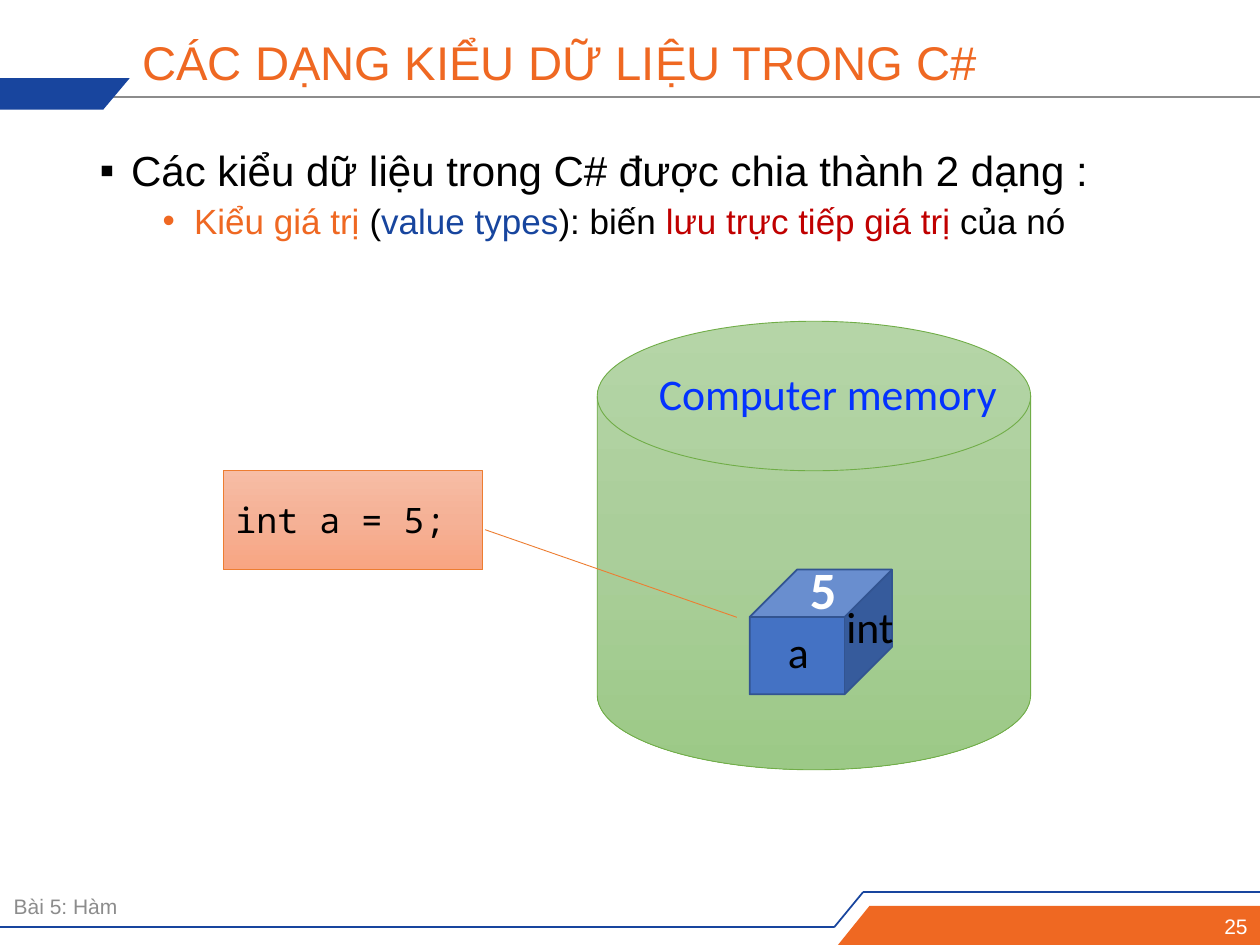
from copy import deepcopy
from dataclasses import dataclass

from lxml.etree import SubElement
from pptx import Presentation
from pptx.dml.color import RGBColor
from pptx.enum.shapes import MSO_CONNECTOR, MSO_SHAPE
from pptx.enum.text import MSO_ANCHOR, MSO_AUTO_SIZE, PP_ALIGN
from pptx.oxml.ns import qn
from pptx.util import Inches, Pt


@dataclass(frozen=True)
class Theme:
    orange: str = "EF6822"
    navy: str = "18459E"
    term: str = "17459E"
    red: str = "C00000"
    black: str = "000000"
    white: str = "FFFFFF"
    grey: str = "8C8C8C"
    label: str = "0432FF"
    cube: str = "4472C4"
    cube_edge: str = "325491"
    memory: tuple = ("B5D5A7", "AACE9A", "9CC987")
    memory_edge: str = "70AD47"
    code: tuple = ("F7BDA5", "F5B196", "F8A582")
    code_edge: str = "ED7D31"
    sans: str = "Arial"
    body: str = "Calibri"
    mono: str = "Noto Sans Mono"
    title_size: int = 27
    list_size: int = 24
    sub_size: int = 20
    label_size: int = 25
    value_size: int = 30
    footer_size: int = 12


class SlideBuilder:
    COLUMNS, ROWS = 100, 75

    def __init__(self, prs, theme):
        self.t = theme
        self.cell_w = prs.slide_width / self.COLUMNS
        self.cell_h = prs.slide_height / self.ROWS
        self.s = prs.slides.add_slide(prs.slide_layouts[1])
        self.shapes = self.s.shapes

    def grid(self, *values):
        cells = (self.cell_w, self.cell_h)
        return [round(v * cells[i % 2]) for i, v in enumerate(values)]

    def start_group(self):
        self.shapes = self.s.shapes.add_group_shape().shapes

    def end_group(self):
        self.shapes = self.s.shapes

    def place(self, sp, box):
        sp.left, sp.top, sp.width, sp.height = self.grid(*box)

    def run(self, p, text, size, color, font, bold=False):
        r = p.add_run()
        r.text = text
        r.font.size = Pt(size)
        r.font.name = font
        r.font.bold = bold
        r.font.color.rgb = RGBColor.from_string(color)

    def title(self, text, box):
        sp = self.s.shapes.title
        self.place(sp, box)
        tf = sp.text_frame
        tf.auto_size = MSO_AUTO_SIZE.NONE
        tf.vertical_anchor = MSO_ANCHOR.MIDDLE
        p = tf.paragraphs[0]
        p.alignment = PP_ALIGN.LEFT
        p.line_spacing = 0.9
        self.run(p, text, self.t.title_size, self.t.orange, self.t.sans)

    def bullets(self, items, box):
        sp = self.s.placeholders[1]
        self.place(sp, box)
        tf = sp.text_frame
        tf.auto_size = MSO_AUTO_SIZE.NONE
        for i, (level, mark, size, runs) in enumerate(items):
            p = tf.add_paragraph() if i else tf.paragraphs[0]
            p.level = level
            p.line_spacing = 0.9
            p.space_before = Pt(5 if i else 0)
            pr = p._p.get_or_add_pPr()
            pr.set("marL", str(Inches(0.25 + 0.5 * level)))
            pr.set("indent", str(Inches(-0.25)))
            SubElement(pr, qn("a:buFont"), typeface=self.t.sans)
            SubElement(pr, qn("a:buChar"), char=mark)
            for text, color in runs:
                self.run(p, text, size, color, self.t.sans)

    def text(self, text, box, size, color, font, align=PP_ALIGN.LEFT,
             anchor=MSO_ANCHOR.TOP, bold=False, wrap=True):
        tf = self.shapes.add_textbox(*self.grid(*box)).text_frame
        tf.word_wrap = wrap
        tf.vertical_anchor = anchor
        p = tf.paragraphs[0]
        p.alignment = align
        self.run(p, text, size, color, font, bold)

    def line(self, start, end, color):
        c = self.shapes.add_connector(
            MSO_CONNECTOR.STRAIGHT, *self.grid(*start, *end))
        c.line.width = Pt(1)
        c.line.color.rgb = RGBColor.from_string(color)
        SubElement(c._element.spPr, qn("a:effectLst"))

    def polygon(self, points, color):
        corners = [self.grid(*pt) for pt in points]
        fb = self.shapes.build_freeform(*corners[0])
        fb.add_line_segments(corners[1:], close=True)
        sp = fb.convert_to_shape()
        sp.shadow.inherit = False
        sp.fill.solid()
        sp.fill.fore_color.rgb = RGBColor.from_string(color)
        sp.line.fill.background()

    def shape(self, kind, box, fill, edge, width, adjust=()):
        sp = self.shapes.add_shape(kind, *self.grid(*box))
        sp.shadow.inherit = False
        for i, value in enumerate(adjust):
            sp.adjustments[i] = value
        if isinstance(fill, tuple):
            self.gradient(sp, fill)
        else:
            sp.fill.solid()
            sp.fill.fore_color.rgb = RGBColor.from_string(fill)
        sp.line.color.rgb = RGBColor.from_string(edge)
        sp.line.width = Pt(width)
        return sp

    def gradient(self, sp, colors):
        sp.fill.gradient()
        sp.fill.gradient_angle = 270
        stops = sp._element.spPr.find(".//" + qn("a:gsLst"))
        stops.insert(1, deepcopy(stops[0]))
        for i, (stop, color) in enumerate(zip(sp.fill.gradient_stops, colors)):
            stop.position = i / 2
            stop.color.rgb = RGBColor.from_string(color)

    def code_callout(self, text, box, adjust):
        sp = self.shape(MSO_SHAPE.LINE_CALLOUT_1, box, self.t.code,
                        self.t.code_edge, 0.5, adjust)
        tf = sp.text_frame
        tf.word_wrap = True
        tf.vertical_anchor = MSO_ANCHOR.MIDDLE
        p = tf.paragraphs[0]
        p.alignment = PP_ALIGN.LEFT
        self.run(p, text, self.t.sub_size, self.t.black, self.t.mono)


def main():
    prs = Presentation()
    prs.slide_width, prs.slide_height = Inches(10), Inches(7.5)
    t = Theme()
    b = SlideBuilder(prs, t)

    b.line((7.2, 7.7), (100, 7.7), t.grey)
    b.polygon([(0, 6.2), (10.3, 6.2), (8.2, 8.7), (0, 8.7)], t.navy)
    rule = [(0, 73.6), (66.2, 73.6), (68.5, 70.8), (100, 70.8)]
    for start, end in zip(rule, rule[1:]):
        b.line(start, end, t.navy)
    b.polygon([(69, 71.9), (100, 71.9), (100, 75), (66.5, 75)], t.orange)

    b.title("CÁC DẠNG KIỂU DỮ LIỆU TRONG C#", (10.3, 2.5, 82.8, 5.3))
    b.bullets([
        (0, "▪", t.list_size, [
            ("Các kiểu dữ liệu trong C# được chia thành 2 dạng :", t.black)]),
        (1, "•", t.sub_size, [
            ("Kiểu giá trị ", t.orange), ("(", t.black),
            ("value types", t.term), ("): biến ", t.black),
            ("lưu trực tiếp giá trị ", t.red), ("của nó", t.black)]),
    ], (6.9, 11.4, 86.2, 56.1))
    b.text("Bài 5: Hàm", (0.1, 70.4, 65.9, 3.1), t.footer_size, t.grey,
           t.sans, anchor=MSO_ANCHOR.MIDDLE)
    b.text("25", (79.1, 72.1, 20.9, 2.8), t.footer_size, t.white, t.sans,
           PP_ALIGN.RIGHT, MSO_ANCHOR.MIDDLE)

    b.shape(MSO_SHAPE.FLOWCHART_MAGNETIC_DISK, (47.4, 25.5, 34.4, 35.6),
            t.memory, t.memory_edge, 0.5)
    b.start_group()
    b.shape(MSO_SHAPE.CUBE, (59.5, 45.2, 11.3, 9.9), t.cube, t.cube_edge, 1,
            (0.38,))
    for text, box, size, color, bold in [
        ("a", (61.4, 49.1, 3.9, 5.2), t.label_size, t.black, False),
        ("int", (65.6, 47.1, 6.9, 5.2), t.label_size, t.black, False),
        ("5", (63.3, 43.7, 3.9, 6.1), t.value_size, t.white, True),
    ]:
        b.text(text, box, size, color, t.body, PP_ALIGN.CENTER, bold=bold)
    b.end_group()
    b.text("Computer memory", (51.3, 28.6, 29.2, 5.2), t.label_size, t.label,
           t.body, wrap=False)
    b.code_callout("int a = 5;", (17.7, 37.3, 20.6, 7.9),
                   (0.6, 1.01, 1.48, 1.98))

    prs.save("out.pptx")


if __name__ == "__main__":
    main()
